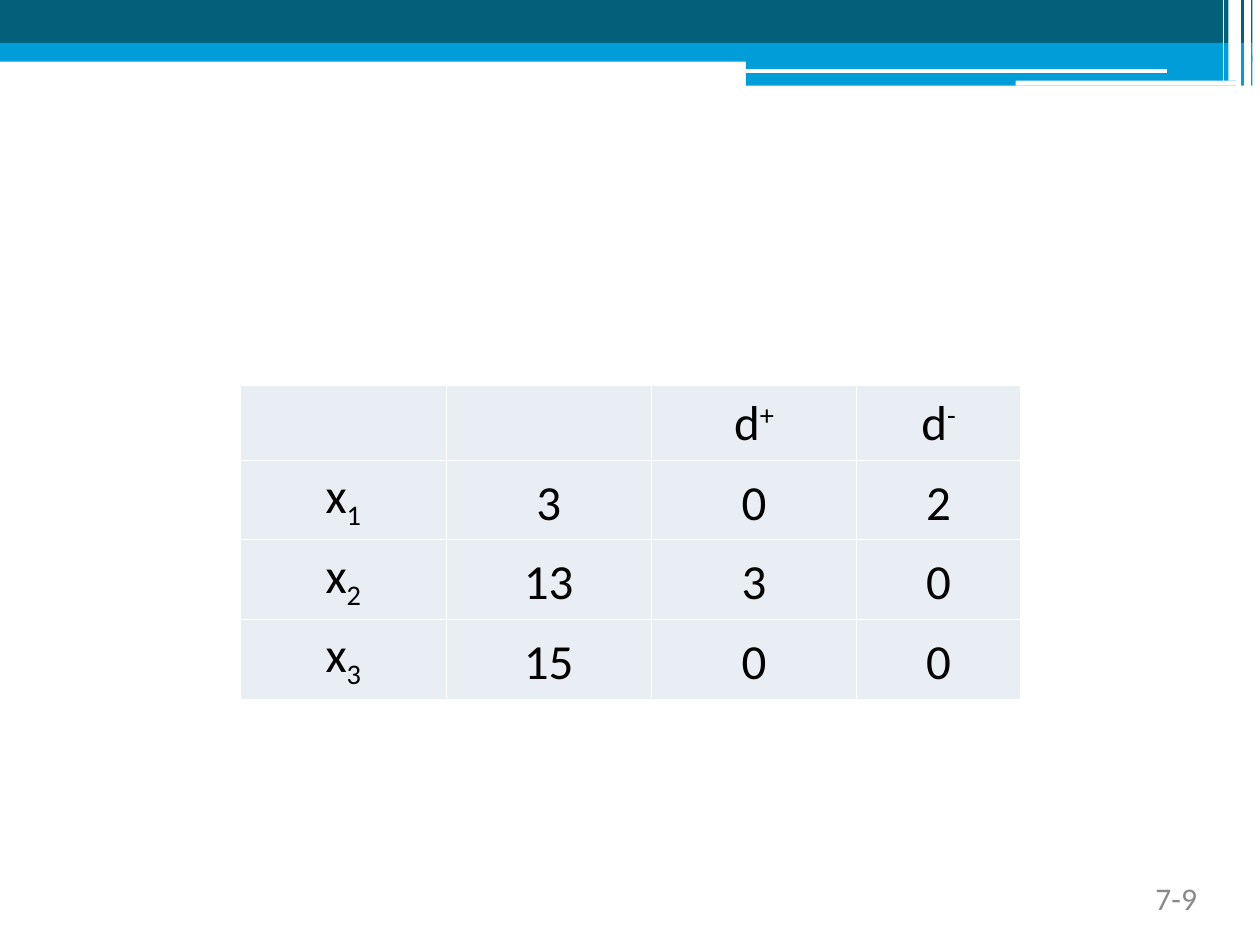
from lxml.etree import SubElement
from pptx import Presentation
from pptx.dml.color import RGBColor
from pptx.enum.shapes import MSO_CONNECTOR, MSO_SHAPE
from pptx.enum.text import MSO_ANCHOR, PP_ALIGN
from pptx.oxml.ns import qn
from pptx.util import Inches, Pt

TEAL, BLUE, WHITE = "04607A", "009DD9", "FFFFFF"
CELL_FILL, BLACK, GREY = "E9EDF4", "000000", "898989"
FONT = "Calibri"
SUPERSCRIPT, SUBSCRIPT = 30000, -25000

# Each cell is (text, raised or lowered mark, baseline shift)
HEADER = [("",), ("",), ("d", "+", SUPERSCRIPT), ("d", "-", SUPERSCRIPT)]
VALUES = [("3", "0", "2"), ("13", "3", "0"), ("15", "0", "0")]


def color(hex_value):
    return RGBColor.from_string(hex_value)


def add_bar(page, box, fill, shape_type=MSO_SHAPE.RECTANGLE):
    bar = page.shapes.add_shape(shape_type, *map(Inches, box))
    bar.shadow.inherit = False
    bar.fill.solid()
    bar.fill.fore_color.rgb = color(fill)
    bar.line.fill.background()
    return bar


def add_rule(page, start, end, width):
    rule = page.shapes.add_connector(
        MSO_CONNECTOR.STRAIGHT, *map(Inches, start + end))
    rule.line.color.rgb = color(WHITE)
    rule.line.width = Pt(width)
    SubElement(rule._element.spPr, qn("a:effectLst"))


def style_font(para, size, hex_value):
    para.font.name = FONT
    para.font.size = Pt(size)
    para.font.color.rgb = color(hex_value)


def add_banner(page, box):
    left, top, width, height = box
    right, bottom = left + width, top + height
    step = left + 5.92

    # Coloured bands, with a deeper step on the right
    add_bar(page, (left, top, width, 0.34), TEAL)
    add_bar(page, (left, top + 0.34, width, 0.15), BLUE)
    add_bar(page, (step, top + 0.44, right - step, height - 0.44), BLUE)

    # White rule and notch under the step
    add_rule(page, (step, top + 0.56), (step + 3.34, top + 0.56), 2.25)
    notch = add_bar(page, (step + 2.14, bottom - 0.04, 1.75, 0.04), WHITE,
                    MSO_SHAPE.ROUNDED_RECTANGLE)
    notch.adjustments[0] = 0.17

    # White stripes at the right end
    add_bar(page, (right - 0.19, top, 0.06, 0.64), WHITE)
    for offset, length, weight in [(0.03, height, 3), (0.06, height, 1),
                                   (0.11, height, 3), (0.23, 0.64, 1)]:
        x = right - offset
        add_rule(page, (x, top), (x, top + length), weight)


def add_borders(cell):
    for side in ("lnL", "lnR", "lnT", "lnB"):
        line = SubElement(cell._tc.get_or_add_tcPr(), qn(f"a:{side}"),
                          w=str(Pt(0.45)))
        fill = SubElement(line, qn("a:solidFill"))
        SubElement(fill, qn("a:srgbClr"), val=WHITE)


def fill_cell(cell, text, mark="", baseline=0):
    add_borders(cell)
    cell.fill.solid()
    cell.fill.fore_color.rgb = color(CELL_FILL)
    cell.vertical_anchor = MSO_ANCHOR.BOTTOM
    cell.margin_left = cell.margin_right = 0
    para = cell.text_frame.paragraphs[0]
    para.alignment = PP_ALIGN.CENTER
    style_font(para, 28, BLACK)
    if text:
        para.add_run().text = text
    if mark:
        span = para.add_run()
        span.text = mark
        span.font._element.set("baseline", str(baseline))


def add_deviation_table(page, box):
    rows = [HEADER] + [
        [("x", str(number), SUBSCRIPT)] + [(value,) for value in values]
        for number, values in enumerate(VALUES, 1)]
    frame = page.shapes.add_table(len(rows), len(HEADER), *map(Inches, box))
    table = frame.table
    table.first_row = table.horz_banding = False
    for column, width in zip(table.columns, (1.63, 1.63, 1.63, 1.3)):
        column.width = Inches(width)
    for row, contents in zip(table.rows, rows):
        for cell, content in zip(row.cells, contents):
            fill_cell(cell, *content)


def add_page_number(page, box):
    frame = page.shapes.add_textbox(*map(Inches, box)).text_frame
    frame.word_wrap = True
    frame.margin_left = frame.margin_right = 0
    frame.margin_top = frame.margin_bottom = 0
    para = frame.paragraphs[0]
    para.text = "7-9"
    para.alignment = PP_ALIGN.RIGHT
    style_font(para, 18, GREY)


def main():
    deck = Presentation()
    deck.slide_width, deck.slide_height = Inches(10), Inches(7.5)
    page = deck.slides.add_slide(deck.slide_layouts[6])
    add_banner(page, (0, 0, 9.94, 0.68))
    add_page_number(page, (7.2, 6.98, 2.3, 0.31))
    add_deviation_table(page, (1.91, 3.06, 6.19, 2.37))
    deck.save("out.pptx")


if __name__ == "__main__":
    main()
